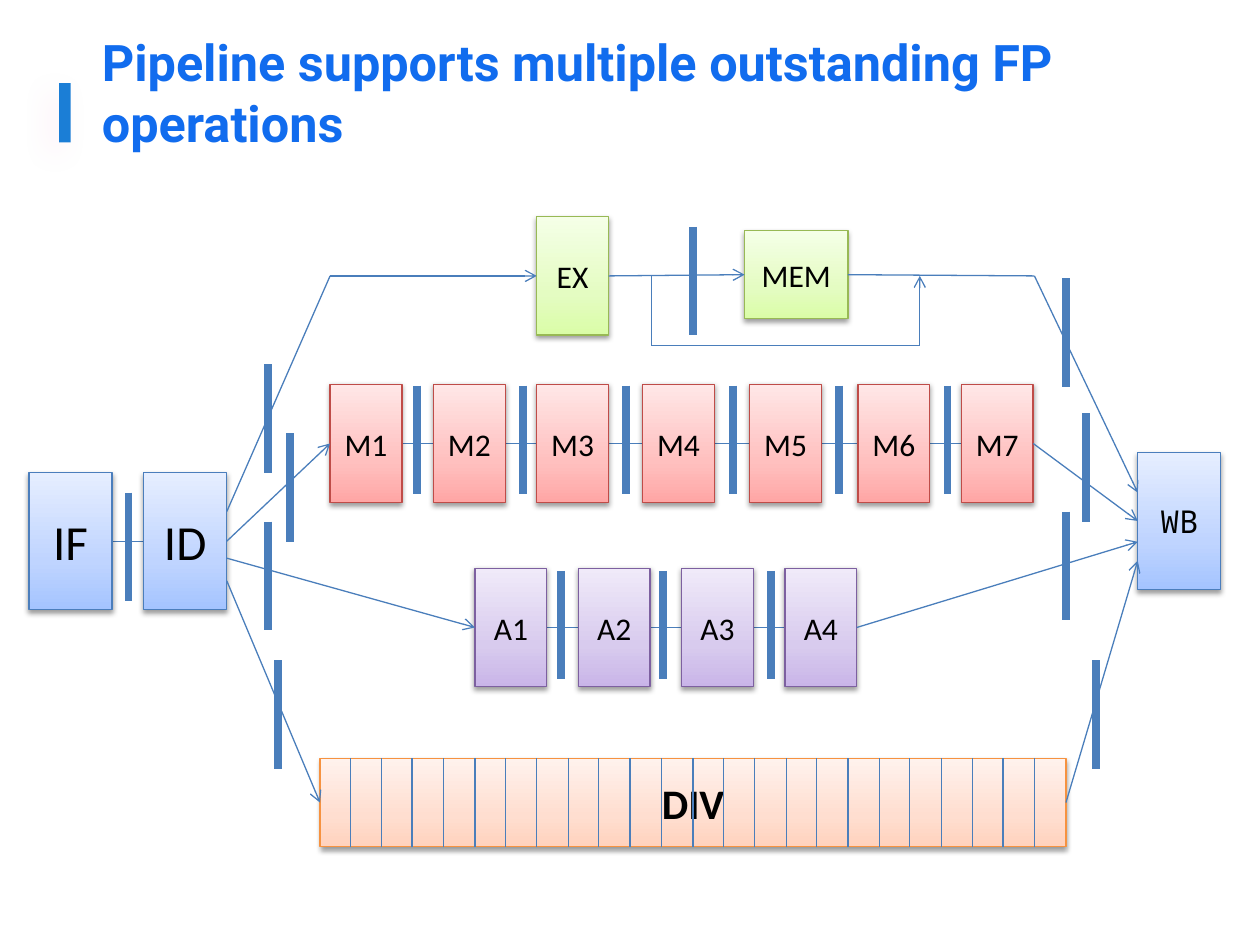
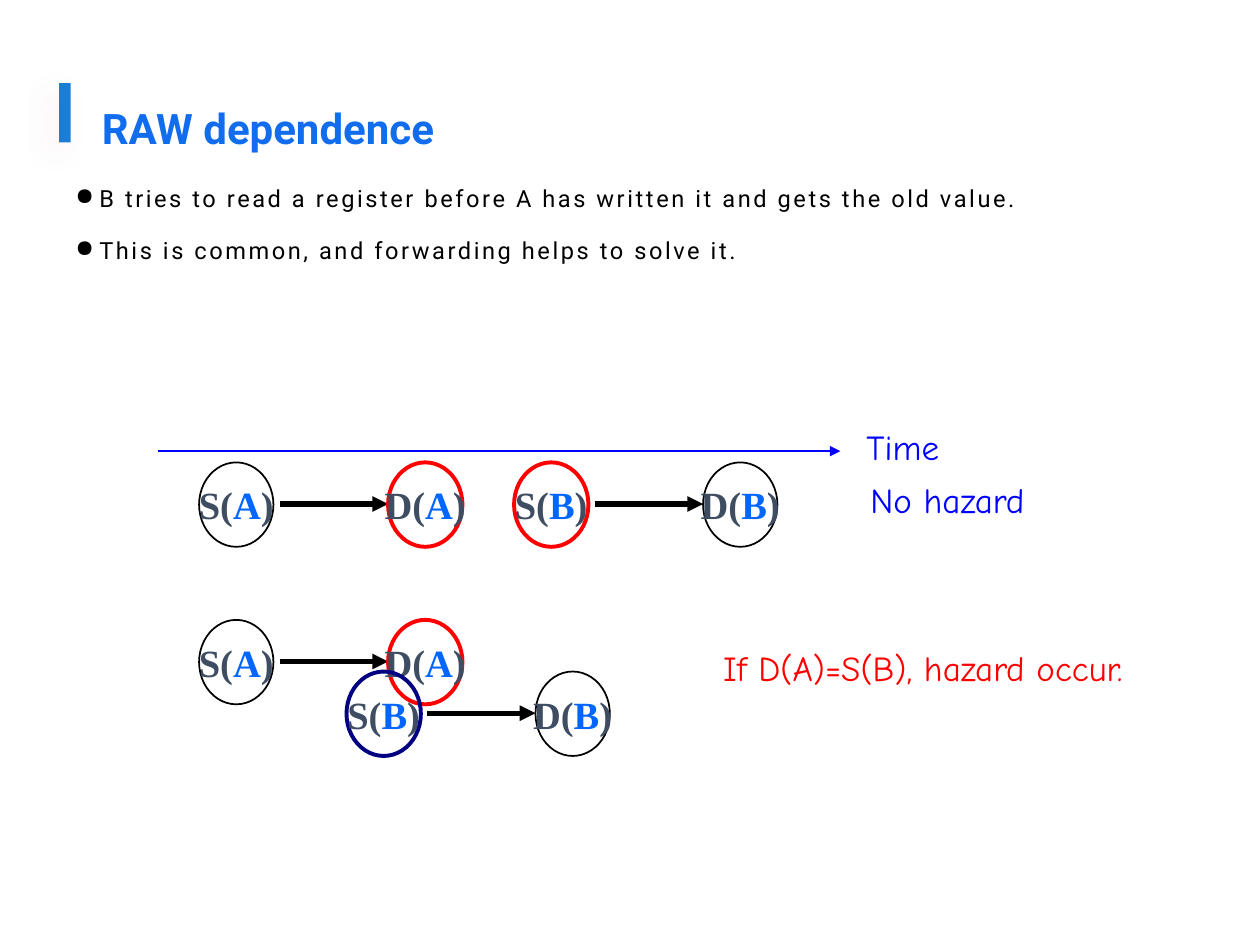
"""Build two slides on floating-point pipelines and RAW dependence."""
from copy import deepcopy
from dataclasses import dataclass

from lxml.etree import SubElement
from pptx import Presentation
from pptx.dml.color import RGBColor as RGB
from pptx.enum.shapes import MSO_CONNECTOR as CONN, MSO_SHAPE as SHAPE
from pptx.enum.text import MSO_ANCHOR as ANCHOR, MSO_AUTO_SIZE as AUTO, PP_ALIGN as ALIGN
from pptx.oxml.ns import qn
from pptx.util import Pt

PX = 9144
TOP, LEFT, BOTTOM, RIGHT = range(4)


@dataclass(frozen=True)
class Theme:
    """Colours, fonts and type sizes; ramps are (dark, mid, light, outline)."""
    accent: str = "1B7ED6"
    title: str = "116CEE"
    text: str = "000000"
    wire: str = "4A7EBB"
    red: str = "FF0000"
    navy: str = "000080"
    blue: str = "0000FF"
    slate: str = "3F4D63"
    register: str = "0066FF"
    blues: tuple = ("A4C4FF", "BFD4FF", "E6EEFF", "4B7EBC")
    reds: tuple = ("FFA6A5", "FFC0BF", "FFE7E7", "BF4C48")
    purples: tuple = ("C9B5E8", "D8CBEE", "F0EAF9", "7D60A0")
    greens: tuple = ("DAFDA7", "E4FCC2", "F5FFE7", "98B955")
    oranges: tuple = ("FFD2BD", "FFDED0", "FFF2ED", "F69240")
    bar_shadow: tuple = ("FF5DA9", 10, 16, 8, 135)
    box_shadow: tuple = ("000000", 38, 3.1, 1.6, 90)
    sans: str = "Roboto"
    label: str = "Calibri"
    mono: str = "Noto Sans Mono"
    serif: str = "Times New Roman"
    comic: str = "Comic Neue"
    body: float = 13.5
    small: int = 18
    note: int = 20
    state: int = 22
    medium: int = 24
    large: int = 28


class Deck:
    """Hold the theme and the current slide and draw elements on it."""

    def __init__(self, theme):
        """Start an empty 10 by 7.5 inch presentation."""
        self.theme = theme
        self.prs = Presentation()
        self.prs.slide_width, self.prs.slide_height = 1000 * PX, 750 * PX

    def slide(self, title, size):
        """Add a slide with the accent bar and a title."""
        t = self.theme
        self.s = self.prs.slides.add_slide(self.prs.slide_layouts[6])
        bar = self.shape(SHAPE.RECTANGLE, 47, 66, 9, 47)
        bar.fill.solid()
        bar.fill.fore_color.rgb = RGB.from_string(t.accent)
        bar.line.fill.background()
        self.shadow(bar, t.bar_shadow)
        tf = self.textbox(71, 57, 878, 64)
        tf.margin_top = tf.margin_bottom = 0
        tf.vertical_anchor = ANCHOR.BOTTOM
        tf.text = title
        self.style(tf, t.sans, size, t.title, bold=True)

    def shape(self, kind, x, y, w, h):
        """Add a preset shape without a shadow."""
        sp = self.s.shapes.add_shape(kind, x * PX, y * PX, w * PX, h * PX)
        sp.shadow.inherit = False
        return sp

    def textbox(self, x, y, w, h, wrap=True):
        """Add a text box and return its text frame."""
        tf = self.s.shapes.add_textbox(x * PX, y * PX, w * PX, h * PX).text_frame
        tf.word_wrap = wrap
        return tf

    def style(self, tf, font, size, color, bold=False, align=ALIGN.LEFT):
        """Format every run of a text frame."""
        for p in tf.paragraphs:
            p.alignment = align
            for r in p.runs:
                r.font.name, r.font.size, r.font.bold = font, Pt(size), bold
                r.font.color.rgb = RGB.from_string(color)

    def shadow(self, sp, spec):
        """Give a shape an outer shadow."""
        color, alpha, blur, dist, angle = spec
        effects = sp._element.spPr.find(qn("a:effectLst"))
        outer = SubElement(effects, qn("a:outerShdw"), blurRad=str(Pt(blur)),
                           dist=str(Pt(dist)), dir=str(angle * 60000), rotWithShape="0")
        clr = SubElement(outer, qn("a:srgbClr"), val=color)
        SubElement(clr, qn("a:alpha"), val=str(alpha * 1000))

    def box(self, label, x, y, w, h, ramp, size=None, font=None, bold=False):
        """Draw a gradient pipeline stage with a centred label."""
        t = self.theme
        sp = self.shape(SHAPE.RECTANGLE, x, y, w, h)
        sp.fill.gradient()
        sp.fill.gradient_angle = 90
        stops = sp._element.spPr.find(".//" + qn("a:gsLst"))
        stops.append(deepcopy(stops[0]))
        for stop, position, color in zip(sp.fill.gradient_stops, (0, 0.35, 1), ramp):
            stop.position = position
            stop.color.rgb = RGB.from_string(color)
        sp.line.color.rgb = RGB.from_string(ramp[3])
        sp.line.width = Pt(0.75)
        self.shadow(sp, t.box_shadow)
        tf = sp.text_frame
        tf.text = label
        tf.vertical_anchor = ANCHOR.MIDDLE
        self.style(tf, font or t.label, size or t.small, t.text, bold, ALIGN.CENTER)
        return sp

    def point(self, end):
        """Turn (x, y) or (shape, side) into EMU coordinates."""
        first, second = end
        if not hasattr(first, "shape_id"):
            return first * PX, second * PX
        return (first.left + int(first.width * (0.5, 0, 0.5, 1)[second]),
                first.top + int(first.height * (0, 0.5, 1, 0.5)[second]))

    def line(self, start, end, head=None, color=None, width=0.75, back=False):
        """Draw a connector between points or shape sides."""
        c = self.s.shapes.add_connector(CONN.STRAIGHT, *self.point(start), *self.point(end))
        for (target, side), connect in ((start, c.begin_connect), (end, c.end_connect)):
            if hasattr(target, "shape_id"):
                connect(target, side)
        c.line.color.rgb = RGB.from_string(color or self.theme.wire)
        c.line.width = Pt(width)
        if head:
            SubElement(c.line._get_or_add_ln(), qn("a:tailEnd"), type=head)
        SubElement(c._element.spPr, qn("a:effectLst"))
        if back:
            self.s.shapes._spTree.insert(4, c._element)

    def latches(self, *spots):
        """Draw a thick pipeline register at each (x, top)."""
        for x, y in spots:
            self.line((x, y), (x, y + 86), width=4.5)

    def bullets(self, x, y, w, h, lines):
        """Write widely spaced bulleted paragraphs."""
        t = self.theme
        tf = self.textbox(x, y, w, h)
        tf.text = "\n".join(lines)
        self.style(tf, t.sans, t.body, t.text)
        for p in tf.paragraphs:
            p.line_spacing, p.space_before = 1.3, Pt(9)
            pPr = p._p.get_or_add_pPr()
            pPr.set("marL", str(19 * PX))
            pPr.set("indent", str(-19 * PX))
            SubElement(pPr, qn("a:buChar"), char="●")
            for r in p.runs:
                r._r.get_or_add_rPr().set("spc", "150")

    def note(self, text, x, y, w, color):
        """Write a one-line handwritten remark."""
        tf = self.textbox(x, y, w, 44, wrap=False)
        tf.auto_size = AUTO.SHAPE_TO_FIT_TEXT
        tf.text = text
        self.style(tf, self.theme.comic, self.theme.note, color, align=ALIGN.CENTER)

    def state(self, kind, register, x, y, color):
        """Draw an oval such as S(A) with its register highlighted."""
        t = self.theme
        sp = self.shape(SHAPE.OVAL, x, y, 59, 67)
        sp.fill.background()
        sp.line.color.rgb = RGB.from_string(color)
        sp.line.width = Pt(1 if color == t.text else 2.25)
        tf = sp.text_frame
        tf.word_wrap = False
        tf.vertical_anchor = ANCHOR.MIDDLE
        for part in (kind + "(", register, ")"):
            tf.paragraphs[0].add_run().text = part
        self.style(tf, t.serif, t.state, t.slate, True, ALIGN.CENTER)
        tf.paragraphs[0].runs[1].font.color.rgb = RGB.from_string(t.register)

    def instruction(self, register, x, y, source, dest):
        """Draw a source state, an arrow and a destination state."""
        self.state("S", register, x, y, source)
        self.line((x + 64, y + 33), (x + 150, y + 33), "triangle", self.theme.text, 3)
        self.state("D", register, x + 150, y, dest)


def pipeline_slide(d):
    """Draw the pipeline with its four execution paths."""
    t = d.theme
    d.slide("Pipeline supports multiple outstanding FP operations", 28.8)
    fetch = d.box("IF", 23, 375, 66, 109, t.blues, t.large)
    decode = d.box("ID", 114, 375, 66, 109, t.blues, t.large)
    mul = [d.box(f"M{i}", x, 305, 57, 94, t.reds)
           for i, x in enumerate((262, 344, 426, 510, 595, 681, 763), 1)]
    add = [d.box(f"A{i + 1}", 377 + 82 * i, 451, 57, 94, t.purples) for i in range(4)]
    write = d.box("WB", 903, 359, 66, 109, t.blues, font=t.mono)
    ex = d.box("EX", 426, 172, 57, 94, t.greens)
    mem = d.box("MEM", 591, 183, 82, 70, t.greens)
    d.line((fetch, LEFT), (decode, RIGHT), back=True)
    d.line((add[0], LEFT), (add[-1], LEFT), back=True)
    d.line((mul[0], RIGHT), (mul[-1], LEFT), back=True)

    d.line((262, 219), (ex, LEFT), "arrow")
    d.line((180, 406), (262, 219))
    d.line((ex, RIGHT), (mem, LEFT), "arrow")
    d.line((mem, RIGHT), (821, 219))
    d.line((821, 219), (903, 391), "arrow")
    d.line((decode, RIGHT), (mul[0], LEFT), "arrow")
    d.line((mul[-1], RIGHT), (write, LEFT), "arrow")
    d.line((180, 443), (add[0], LEFT), "arrow")
    d.line((517, 219), (517, 274))
    d.line((517, 274), (730, 274))
    d.line((730, 274), (730, 219), "arrow")
    d.line((add[-1], RIGHT), (903, 430), "arrow")

    div = d.box("DIV", 254, 602, 592, 70, t.oranges, t.medium, bold=True)
    for i in range(23):
        x = round(278 + i * 543 / 22)
        d.line((x, 602), (x, 672))
    d.line((180, 461), (div, LEFT), "arrow")
    d.line((div, RIGHT), (903, 445), "arrow")

    d.latches((102, 391), (550, 180))
    d.latches((213, 289), (230, 344), (213, 414), (221, 524))
    d.latches(*((x, 306) for x in (331, 415, 497, 582, 666, 752)))
    d.latches(*((x, 453) for x in (445, 526, 612)))
    d.latches((846, 221), (862, 328), (846, 406), (870, 524))


def dependence_slide(d):
    """Draw the read-after-write timelines."""
    t = d.theme
    d.slide("RAW dependence", t.medium)
    d.bullets(50, 134, 900, 550, (
        "B tries to read a register before A has written it and gets the old value.",
        "This is common, and forwarding helps to solve it."))
    d.instruction("A", 158, 367, t.text, t.red)
    d.instruction("B", 408, 367, t.red, t.text)
    d.line((125, 358), (667, 358), "triangle", t.blue, 1.5)
    d.note("Time", 675, 333, 83, t.blue)
    d.note("No hazard", 675, 375, 154, t.blue)
    d.instruction("A", 158, 492, t.text, t.red)
    d.instruction("B", 275, 533, t.navy, t.text)
    d.note("If D(A)=S(B), hazard occur.", 542, 508, 381, t.red)


def main():
    """Build and save the deck."""
    d = Deck(Theme())
    pipeline_slide(d)
    dependence_slide(d)
    d.prs.save("out.pptx")


if __name__ == "__main__":
    main()
